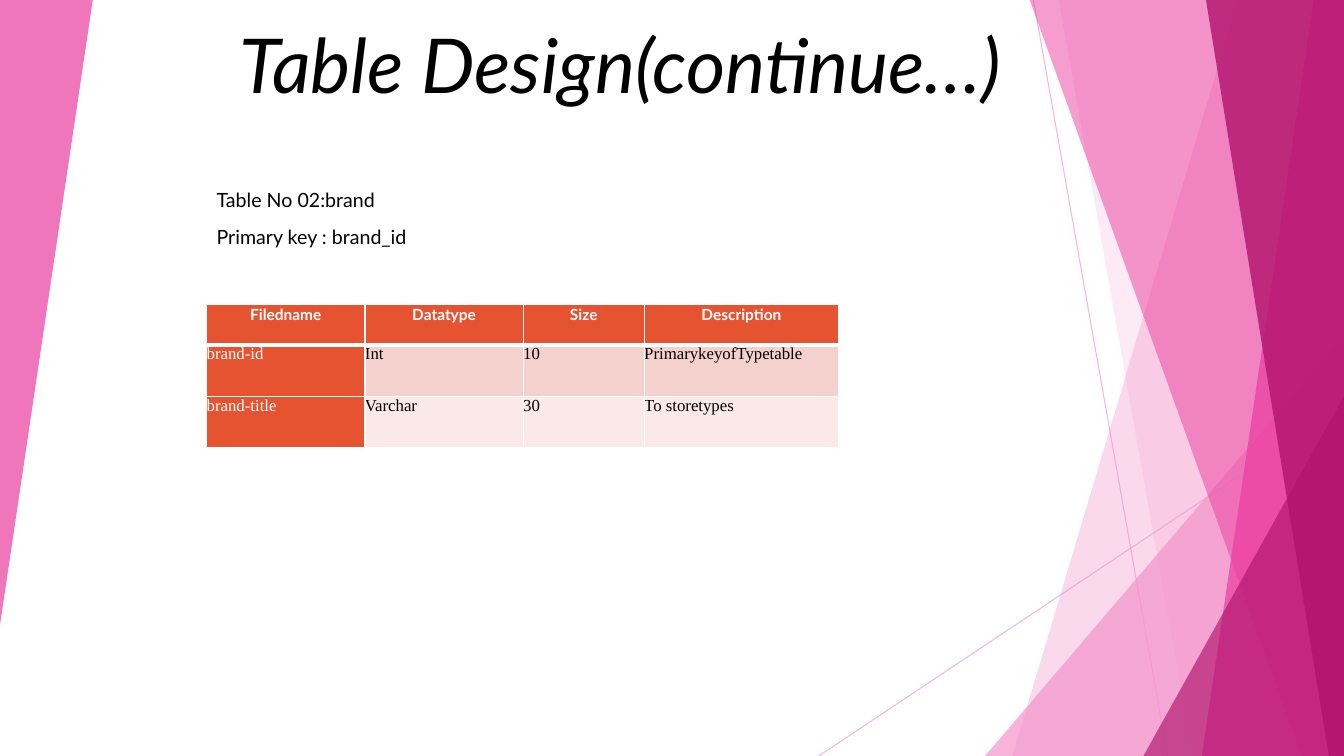
from dataclasses import dataclass

from lxml import etree
from pptx import Presentation
from pptx.dml.color import RGBColor
from pptx.enum.shapes import MSO_CONNECTOR, MSO_SHAPE
from pptx.enum.text import MSO_ANCHOR, PP_ALIGN
from pptx.oxml.ns import qn
from pptx.util import Inches, Pt

LEFT, CENTER, RIGHT = PP_ALIGN.LEFT, PP_ALIGN.CENTER, PP_ALIGN.RIGHT
TOP, BOTTOM = MSO_ANCHOR.TOP, MSO_ANCHOR.BOTTOM
TRIANGLE = MSO_SHAPE.ISOSCELES_TRIANGLE
STRAIGHT = MSO_CONNECTOR.STRAIGHT


@dataclass(frozen=True)
class Theme:
    sans: str = "Lato"
    serif: str = "Times New Roman"
    black: str = "000000"
    white: str = "FFFFFF"
    pale: str = "F496CB"
    pink: str = "EB3D9F"
    plum: str = "B2136D"
    head: str = "E65331"
    rows: tuple = ("F5D1CE", "FAE9E8")
    title: int = 54
    body: int = 14
    label: int = 11
    cell: int = 12


THEME = Theme()
WIDTH, HEIGHT = 13.33, 7.5

# Bands that reach the right edge: top x, bottom x, colour, opacity
BACK = [(12.28, 10.04, THEME.pale, 36), (10.5, 11.83, THEME.pale, 20)]
FRONT = [
    (10.21, 12.91, THEME.pink, 50),
    (13.03, 11.92, THEME.pink, 70),
    (11.96, 13.18, THEME.plum, 80),
]
COLS = [1.57, 1.57, 1.2, 1.93]
ROWS = [0.4, 0.51, 0.51]
DATA = [
    ["Filedname", "Datatype", "Size", "Description"],
    ["brand-id", "Int", "10", "PrimarykeyofTypetable"],
    ["brand-title", "Varchar", "30", "To storetypes"],
]


def paint(fill, color, alpha=100):
    """Give a solid fill its colour and opacity in percent."""
    fill.solid()
    fill.fore_color.rgb = RGBColor.from_string(color)
    if alpha < 100:
        # The newest colour element sits inside this fill
        tone = fill._xPr.find(qn("a:solidFill")).find(qn("a:srgbClr"))
        etree.SubElement(tone, qn("a:alpha")).set("val", str(alpha * 1000))


def write(frame, text, font=THEME.sans, size=THEME.body, color=THEME.black,
          bold=False, italic=False, align=LEFT, anchor=TOP, gap=0,
          lead=None, pads=(0.1, 0.05, 0.1, 0.05)):
    """Fill a text frame, one paragraph for each line of text."""
    frame.word_wrap = True
    frame.vertical_anchor = anchor
    (frame.margin_left, frame.margin_top,
     frame.margin_right, frame.margin_bottom) = map(Inches, pads)
    for i, line in enumerate(text.split("\n")):
        para = frame.add_paragraph() if i else frame.paragraphs[0]
        para.alignment = align
        para.space_before = Pt(gap if i else 0)
        if lead:
            para.line_spacing = lead
        run = para.add_run()
        run.text = line
        run.font.name = font
        run.font.size = Pt(size)
        run.font.bold = bold
        run.font.italic = italic
        run.font.color.rgb = RGBColor.from_string(color)


def finish(shape, color, alpha):
    shape.shadow.inherit = False
    shape.line.fill.background()
    paint(shape.fill, color, alpha)


def band(slide, top, base, color, alpha):
    pen = slide.shapes.build_freeform(Inches(top), Inches(-0.01))
    ends = [(WIDTH, -0.01), (WIDTH, HEIGHT), (base, HEIGHT)]
    pen.add_line_segments([(Inches(x), Inches(y)) for x, y in ends])
    finish(pen.convert_to_shape(), color, alpha)


def wedge(slide, box, color, alpha, turn=0):
    shape = slide.shapes.add_shape(TRIANGLE, *map(Inches, box))
    shape.adjustments[0] = 1
    shape.rotation = turn
    finish(shape, color, alpha)


def ray(slide, *ends):
    line = slide.shapes.add_connector(STRAIGHT, *map(Inches, ends))
    line.line.width = Pt(0.75)
    paint(line.line.fill, THEME.pale, 70)
    etree.SubElement(line._element.spPr, qn("a:effectLst"))


def border(cell, top, base):
    """Draw white cell edges; top and base are widths in points."""
    props = cell._tc.get_or_add_tcPr()
    for side, width in (("L", 1), ("R", 1), ("T", top), ("B", base)):
        edge = etree.SubElement(props, qn(f"a:ln{side}"), w=str(Pt(width)))
        fill = etree.SubElement(edge, qn("a:solidFill"))
        etree.SubElement(fill, qn("a:srgbClr"), val=THEME.white)


def scenery(slide):
    ray(slide, 10.25, 0, 11.58, HEIGHT)
    ray(slide, WIDTH, 4.03, 8.12, HEIGHT)
    for item in BACK:
        band(slide, *item)
    wedge(slide, (9.77, 3.33, 3.56, 4.17), THEME.pale, 72)
    for item in FRONT:
        band(slide, *item)
    wedge(slide, (11.34, 3.93, 1.99, 3.57), THEME.plum, 66)
    wedge(slide, (0, 0, 0.92, 6.2), THEME.pink, 70, turn=180)


def heading(slide, text):
    title = slide.shapes.title
    title.left, title.top = Inches(1.07), Inches(0.17)
    title.width, title.height = Inches(8.96), Inches(0.96)
    write(title.text_frame, text, size=THEME.title, italic=True,
          align=RIGHT, anchor=BOTTOM)


def caption(slide, text):
    box = slide.shapes.add_textbox(
        Inches(2.05), Inches(1.74), Inches(8.44), Inches(1.09))
    write(box.text_frame, text, gap=10, pads=(0.1, 0.12, 0.1, 0.05))


def fields(slide):
    grid = slide.shapes.add_table(
        len(ROWS), len(COLS), Inches(2.05), Inches(3.02),
        Inches(sum(COLS)), Inches(sum(ROWS))).table
    grid.first_col = True
    for col, width in zip(grid.columns, COLS):
        col.width = Inches(width)
    for r, (row, high) in enumerate(zip(DATA, ROWS)):
        grid.rows[r].height = Inches(high)
        for c, text in enumerate(row):
            cell = grid.cell(r, c)
            border(cell, 3 if r == 1 else 1, 3 if r == 0 else 1)
            key = r == 0 or c == 0
            paint(cell.fill, THEME.head if key else THEME.rows[r - 1])
            look = dict(color=THEME.white if key else THEME.black)
            if r == 0:
                look.update(size=THEME.label, bold=True, align=CENTER,
                            lead=1.07, pads=(0.07, 0, 0.07, 0))
            else:
                look.update(font=THEME.serif, size=THEME.cell,
                            pads=(0, 0, 0, 0))
            write(cell.text_frame, text, **look)
            cell.vertical_anchor = TOP
            pads = look["pads"]
            (cell.margin_left, cell.margin_top,
             cell.margin_right, cell.margin_bottom) = map(Inches, pads)


def main():
    deck = Presentation()
    deck.slide_width, deck.slide_height = Inches(WIDTH), Inches(HEIGHT)
    slide = deck.slides.add_slide(deck.slide_layouts[5])
    scenery(slide)
    heading(slide, "Table Design(continue…)")
    caption(slide, "Table No 02:brand\nPrimary key : brand_id")
    fields(slide)
    deck.save("out.pptx")


if __name__ == "__main__":
    main()
